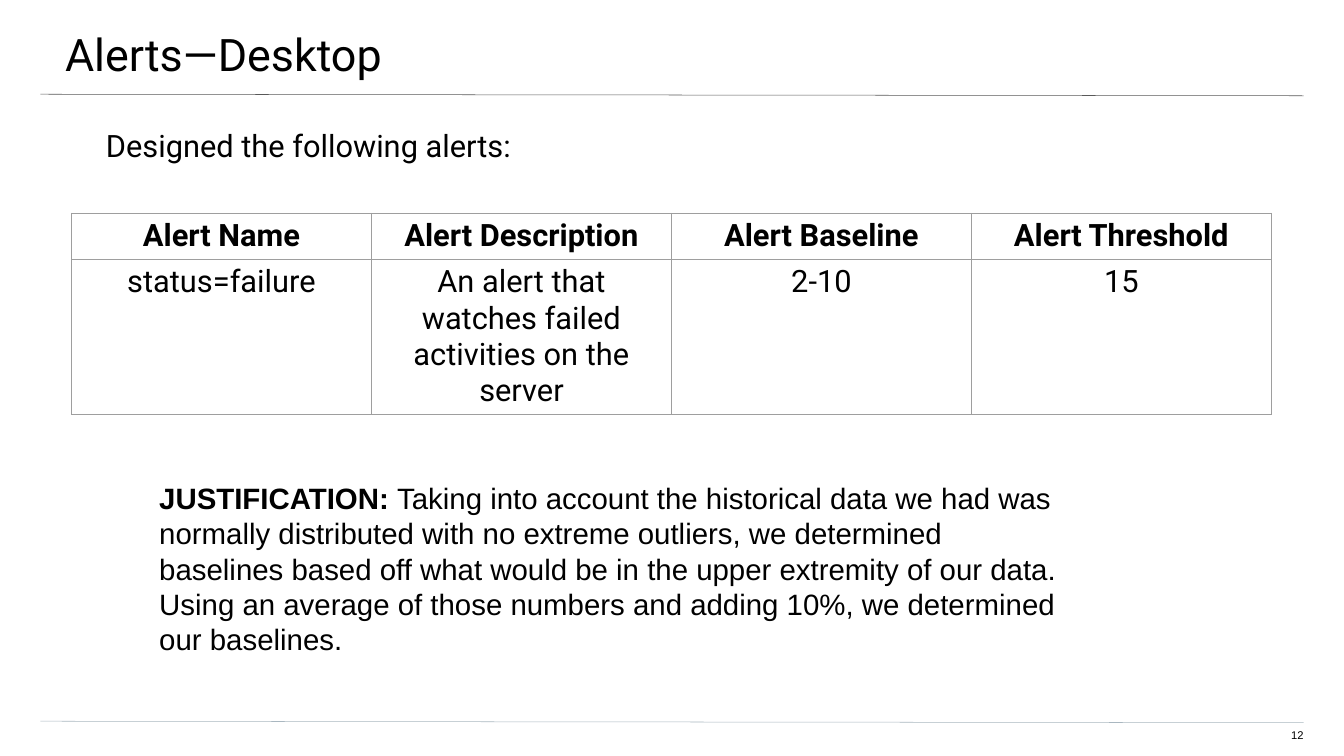
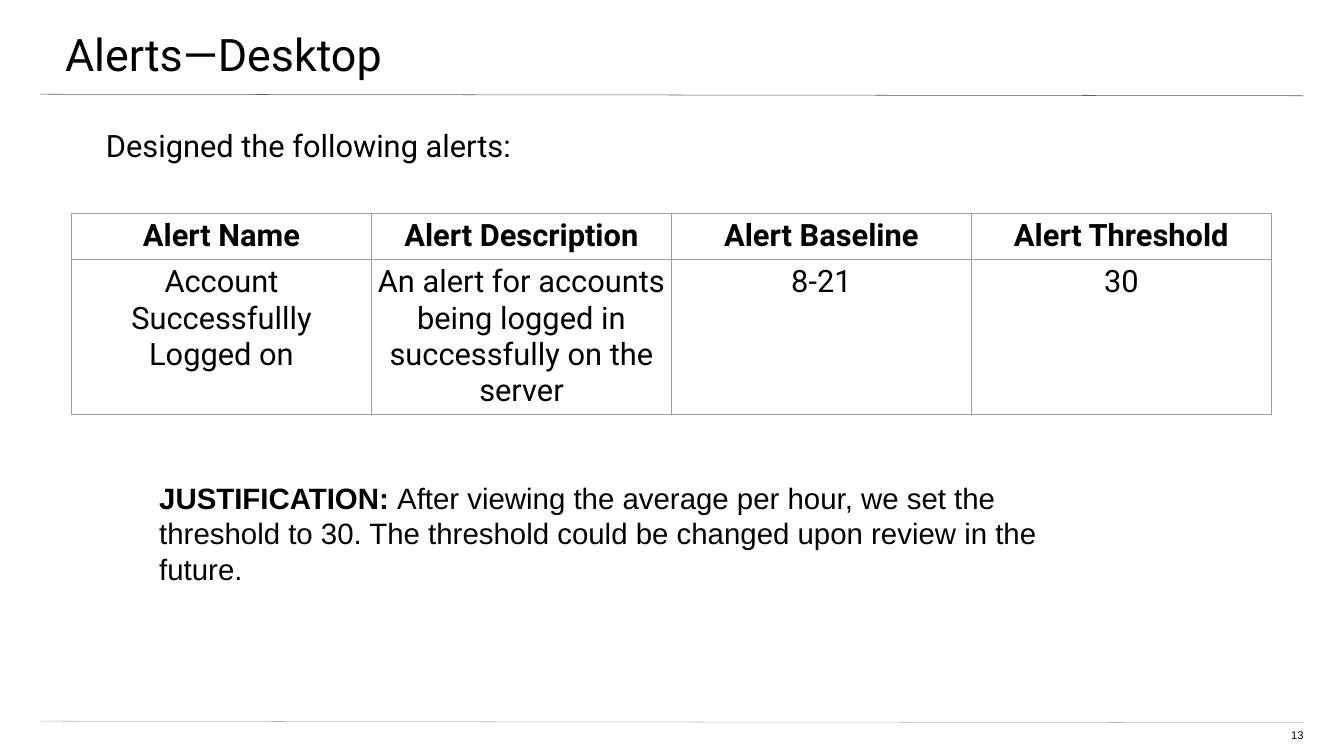
from dataclasses import dataclass

from lxml import etree
from pptx import Presentation
from pptx.dml.color import RGBColor
from pptx.enum.shapes import MSO_CONNECTOR as CONN
from pptx.enum.text import MSO_ANCHOR as ANCHOR, MSO_AUTO_SIZE as FIT, PP_ALIGN as ALIGN
from pptx.oxml.ns import qn
from pptx.util import Inches, Pt

COLORS = {
    "text": "000000",
    "title_rule": "595959",
    "footer_rule": "A9B7C0",
    "table_border": "9E9E9E",
}
HEAD_FONT, BODY_FONT = "Roboto", "Arial"
HEADERS = ("Alert Name", "Alert Description", "Alert Baseline", "Alert Threshold")
COL_WIDTH = 5.95
ROW_HEIGHTS = (0.42, 0.93)
CELL_INSET = 0.1
LINE_WIDTH = 0.75


@dataclass(frozen=True)
class Style:
    font: str
    size: float
    bold: bool = False
    align: ALIGN = ALIGN.LEFT


@dataclass(frozen=True)
class Box:
    left: float
    top: float
    width: float
    height: float
    insets: tuple[float, float, float, float]  # left, top, right, bottom
    fit: FIT = FIT.NONE


@dataclass(frozen=True)
class Rule:
    y_start: float
    y_end: float
    color: str


@dataclass(frozen=True)
class AlertSlide:
    number: int
    alert: tuple[str, str, str, str]
    justification: str
    justification_height: float


TITLE = Style(HEAD_FONT, 64)
INTRO = Style(HEAD_FONT, 44)
CELL = Style(HEAD_FONT, 44, align=ALIGN.CENTER)
HEADER_CELL = Style(HEAD_FONT, 44, bold=True, align=ALIGN.CENTER)
NOTE = Style(BODY_FONT, 42)
PAGE_NUMBER = Style(BODY_FONT, 16, align=ALIGN.RIGHT)

TITLE_BOX = Box(-0.04, 0, 26.73, 1.56, (1.33, 0.53, 0.8, 0))
INTRO_BOX = Box(0.77, 2.51, 25.09, 10.79, (1.33, 0, 1.33, 2.67))
NUMBER_BOX = Box(25.1, 14.46, 0.76, 0.31, (0, 0, 0, 0))
RULES = (Rule(1.87, 1.9, "title_rule"), Rule(14.31, 14.34, "footer_rule"))

SLIDES = (
    AlertSlide(
        12,
        ("status=failure", "An alert that watches failed activities on the server",
         "2-10", "15"),
        "Taking into account the historical data we had was normally distributed "
        "with no extreme outliers, we determined baselines based off what would be "
        "in the upper extremity of our data. Using an average of those numbers and "
        "adding 10%, we determined our baselines.",
        3.74,
    ),
    AlertSlide(
        13,
        ("Account Successfullly Logged on",
         "An alert for accounts being logged in successfully on the server",
         "8-21", "30"),
        "After viewing the average per hour, we set the threshold to 30. "
        "The threshold could be changed upon review in the future.",
        2.32,
    ),
)


def rgb(name: str) -> RGBColor:
    return RGBColor.from_string(COLORS[name])


def write(tf, style: Style, text: str, lead: str = "") -> None:
    """Fill the first paragraph, with an optional bold lead-in run."""
    p = tf.paragraphs[0]
    p.alignment = style.align
    for content, bold in ((lead, True), (text, style.bold)):
        if content:
            r = p.add_run()
            r.text = content
            r.font.name = style.font
            r.font.size = Pt(style.size)
            r.font.bold = bold
            r.font.color.rgb = rgb("text")


def add_text(slide, box: Box, style: Style, text: str, lead: str = "") -> None:
    sp = slide.shapes.add_textbox(
        Inches(box.left), Inches(box.top), Inches(box.width), Inches(box.height))
    tf = sp.text_frame
    tf.word_wrap = True
    tf.auto_size = box.fit
    tf.vertical_anchor = ANCHOR.TOP
    tf.margin_left, tf.margin_top, tf.margin_right, tf.margin_bottom = map(
        Inches, box.insets)
    write(tf, style, text, lead)


def add_rule(slide, rule: Rule) -> None:
    line = slide.shapes.add_connector(
        CONN.STRAIGHT, Inches(0.8), Inches(rule.y_start),
        Inches(25.86), Inches(rule.y_end))
    line.line.color.rgb = rgb(rule.color)
    line.line.width = Pt(LINE_WIDTH)
    etree.SubElement(line._element.spPr, qn("a:effectLst"))


def set_borders(cell) -> None:
    tc_pr = cell._tc.get_or_add_tcPr()
    for i, side in enumerate(("lnL", "lnR", "lnT", "lnB")):
        ln = etree.Element(qn(f"a:{side}"), w=str(Pt(LINE_WIDTH)))
        fill = etree.SubElement(ln, qn("a:solidFill"))
        etree.SubElement(fill, qn("a:srgbClr"), val=COLORS["table_border"])
        tc_pr.insert(i, ln)


def add_alert_table(slide, alert: tuple[str, str, str, str]) -> None:
    rows = ((HEADERS, HEADER_CELL), (alert, CELL))
    table = slide.shapes.add_table(
        len(rows), len(HEADERS), Inches(1.42), Inches(4.23),
        Inches(COL_WIDTH * len(HEADERS)), Inches(sum(ROW_HEIGHTS))).table
    table.first_row = table.horz_banding = False
    for col in table.columns:
        col.width = Inches(COL_WIDTH)
    for i, (texts, style) in enumerate(rows):
        table.rows[i].height = Inches(ROW_HEIGHTS[i])
        for j, text in enumerate(texts):
            cell = table.cell(i, j)
            cell.margin_left = cell.margin_right = Inches(CELL_INSET)
            cell.margin_top = cell.margin_bottom = Inches(CELL_INSET)
            cell.fill.background()
            set_borders(cell)
            write(cell.text_frame, style, text)


def add_alert_slide(prs, content: AlertSlide) -> None:
    slide = prs.slides.add_slide(prs.slide_layouts[6])
    # Shared frame: rules, title, page number
    for rule in RULES:
        add_rule(slide, rule)
    add_text(slide, TITLE_BOX, TITLE, "Alerts—Desktop")
    add_text(slide, NUMBER_BOX, PAGE_NUMBER, str(content.number))
    # Alert and the reasoning behind it
    add_text(slide, INTRO_BOX, INTRO, "Designed the following alerts:")
    add_alert_table(slide, content.alert)
    note_box = Box(3.06, 9.43, 18.12, content.justification_height, (0.1,) * 4,
                   FIT.SHAPE_TO_FIT_TEXT)
    add_text(slide, note_box, NOTE, content.justification, lead="JUSTIFICATION: ")


def main() -> None:
    prs = Presentation()
    prs.slide_width, prs.slide_height = Inches(26.66), Inches(15)
    for content in SLIDES:
        add_alert_slide(prs, content)
    prs.save("out.pptx")


if __name__ == "__main__":
    main()
